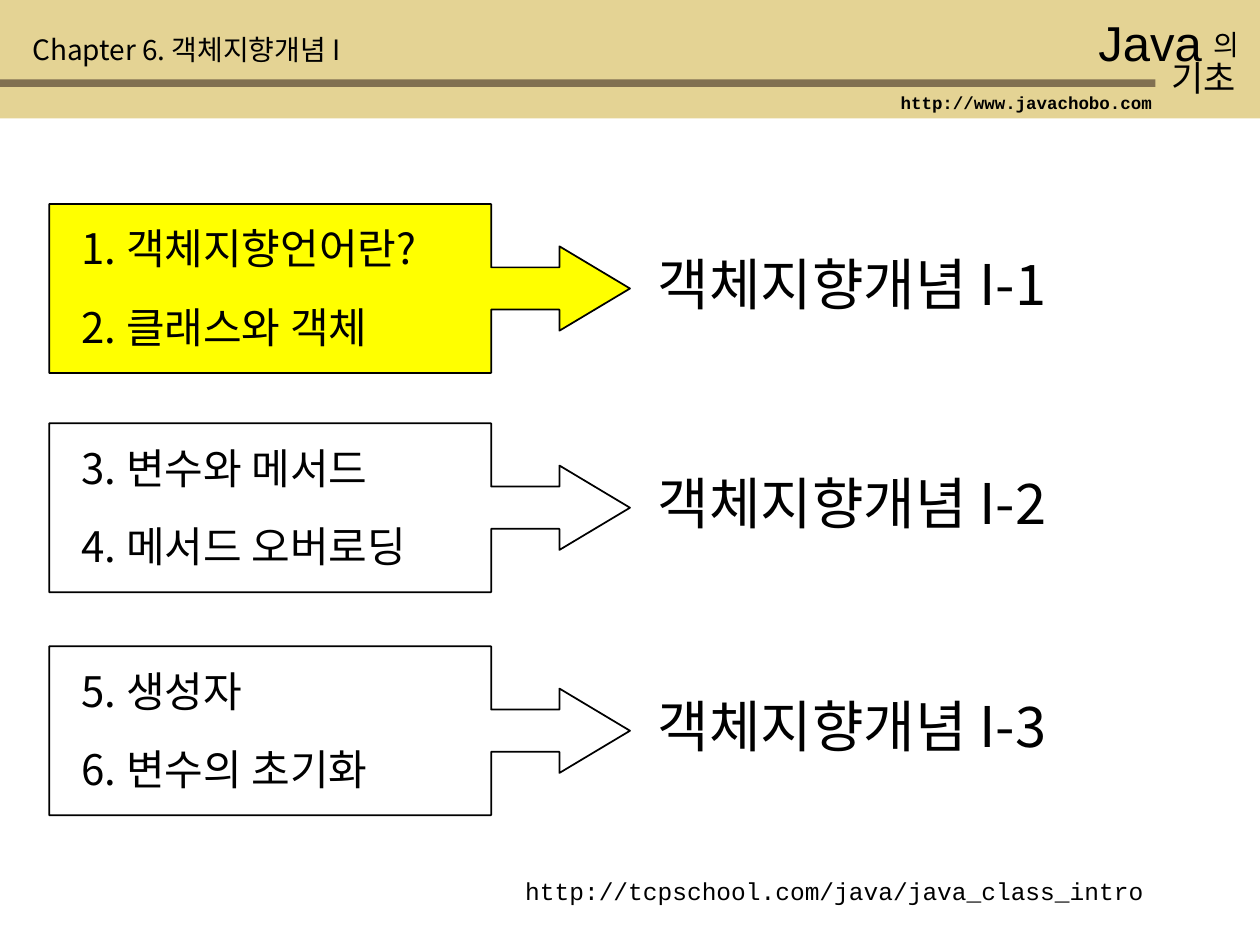
from pptx import Presentation
from pptx.dml.color import RGBColor
from pptx.enum.shapes import MSO_SHAPE
from pptx.enum.text import MSO_AUTO_SIZE
from pptx.oxml.ns import qn
from pptx.util import Inches, Pt
from lxml.etree import SubElement

BLACK = RGBColor(0x00, 0x00, 0x00)
YELLOW = RGBColor(0xFF, 0xFF, 0x00)
SAND = RGBColor(0xE4, 0xD3, 0x94)
BROWN = RGBColor(0x81, 0x70, 0x51)
KOREAN = "Noto Sans CJK KR"

deck = Presentation()
deck.slide_width, deck.slide_height = Inches(10), Inches(7.5)
page = deck.slides.add_slide(deck.slide_layouts[6])


def add_shape(kind, left, top, width, height, fill=None, outlined=False):
    shape = page.shapes.add_shape(
        kind, Inches(left), Inches(top), Inches(width), Inches(height))
    shape.shadow.inherit = False
    if fill is None:
        shape.fill.background()
    else:
        shape.fill.solid()
        shape.fill.fore_color.rgb = fill
    if outlined:
        shape.line.color.rgb = BLACK
        shape.line.width = Pt(1)
    else:
        shape.line.fill.background()
    return shape


def add_text(text, left, top, width, height, size, font=KOREAN, bold=False):
    box = page.shapes.add_textbox(
        Inches(left), Inches(top), Inches(width), Inches(height))
    box.text_frame.word_wrap = True
    box.text_frame.auto_size = MSO_AUTO_SIZE.SHAPE_TO_FIT_TEXT
    para = box.text_frame.paragraphs[0]
    span = para.add_run()
    span.text = text
    para.font.size = Pt(size)
    para.font.name = font
    para.font.bold = bold
    para.font.color.rgb = BLACK
    # East Asian letters need their own font entry
    properties = span.font._element
    SubElement(properties, qn("a:latin")).set("typeface", font)
    SubElement(properties, qn("a:ea")).set("typeface", font)


# Header band and rule
add_shape(MSO_SHAPE.RECTANGLE, 0, 0, 10, 0.94, SAND)
add_shape(MSO_SHAPE.RECTANGLE, 0, 0.63, 9.17, 0.06, BROWN)

# Header text
add_text("Java", 8.62, 0.05, 1.33, 0.57, 28, "Arial")
add_text("의", 9.53, 0.17, 0.59, 0.37, 16)
add_text("기초", 9.2, 0.4, 0.89, 0.44, 20)
add_text("http://www.javachobo.com", 7.05, 0.68, 2.2, 0.27, 10, "Courier New", True)
add_text("Chapter 6. 객체지향개념 I", 0.16, 0.21, 4.33, 0.37, 16)

# Sections: a callout with two topics, pointing to the part name
sections = [
    (1.62, YELLOW, "1. 객체지향언어란?", "2. 클래스와 객체", "객체지향개념 I-1"),
    (3.36, None, "3. 변수와 메서드", "4. 메서드 오버로딩", "객체지향개념 I-2"),
    (5.13, None, "5. 생성자", "6. 변수의 초기화", "객체지향개념 I-3"),
]
for top, fill, first, second, part in sections:
    callout = add_shape(
        MSO_SHAPE.RIGHT_ARROW_CALLOUT, 0.39, top, 4.61, 1.34, fill, True)
    for index, value in enumerate((0.25, 0.25, 0.418, 0.761)):
        callout.adjustments[index] = value
    add_text(first, 0.55, top + 0.1, 4, 0.5, 24)
    add_text(second, 0.55, top + 0.72, 4, 0.5, 24)
    add_text(part, 5.12, top + 0.31, 4.29, 0.64, 32)

# Reference link
add_text("http://tcpschool.com/java/java_class_intro",
         4.07, 6.9, 5.71, 0.34, 14, "Courier New")

deck.save("out.pptx")
